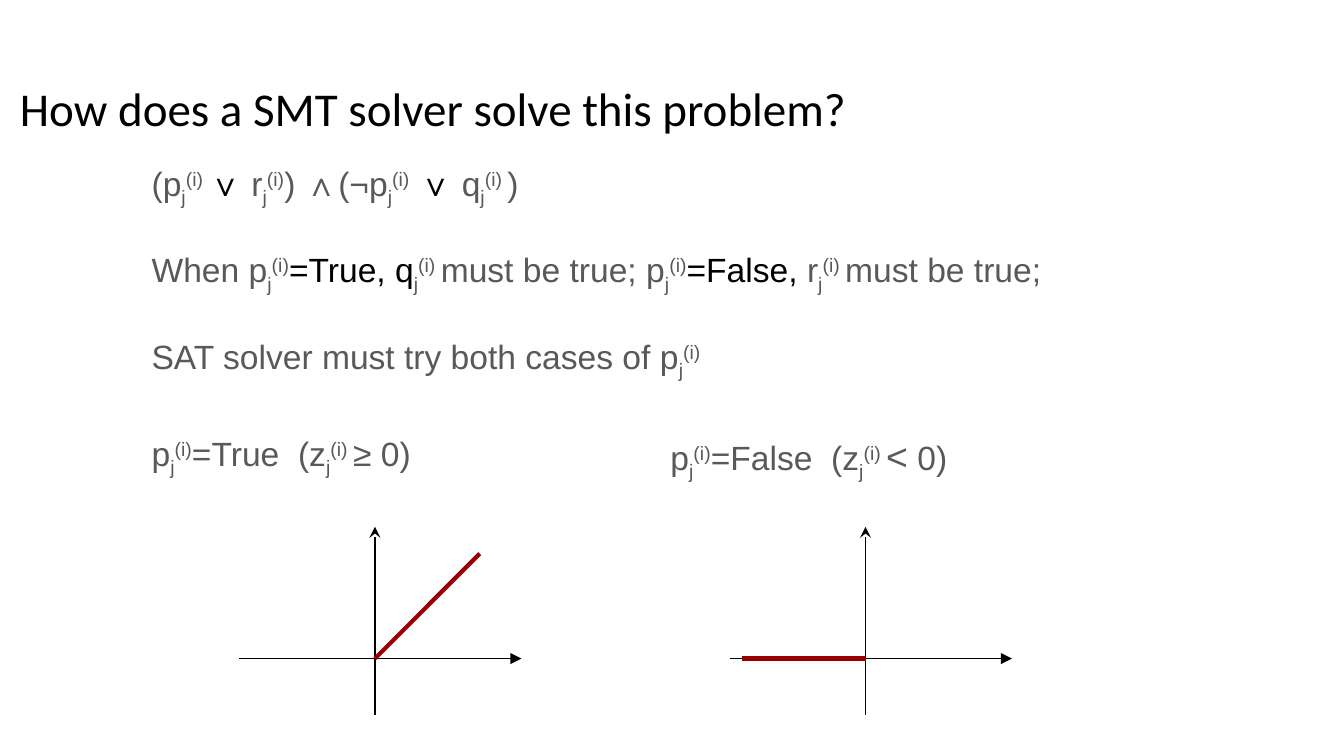
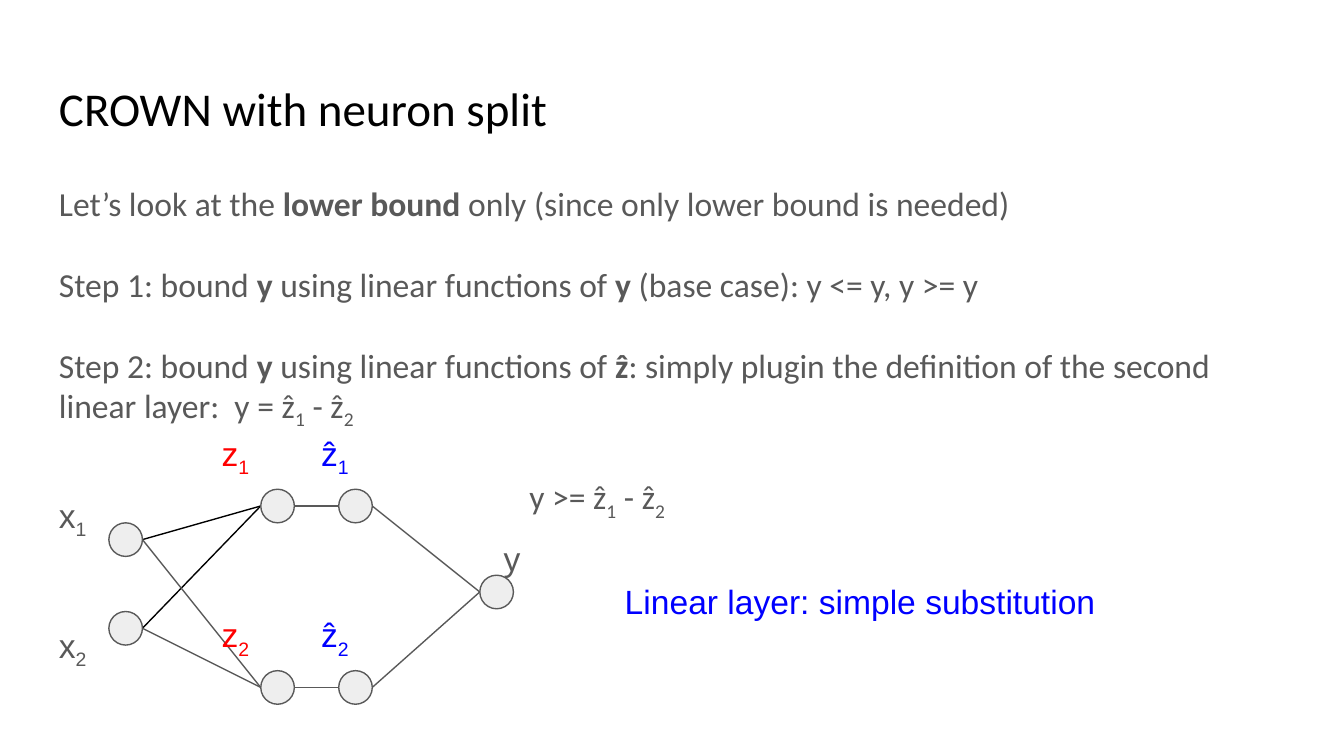
"""Build two slides on neuron splitting in solver-based and bound-based verification."""
import pptx
import pptx.dml.color
import pptx.enum.shapes
import pptx.util
from lxml import etree
from pptx.oxml.ns import qn

Inches, Pt = pptx.util.Inches, pptx.util.Pt
RGBColor = pptx.dml.color.RGBColor

BLACK = RGBColor(0x00, 0x00, 0x00)
GRAY = RGBColor(0x59, 0x59, 0x59)
NODE_FILL = RGBColor(0xEE, 0xEE, 0xEE)
DARK_RED = RGBColor(0x98, 0x00, 0x00)
RED = RGBColor(0xFF, 0x00, 0x00)
BLUE = RGBColor(0x00, 0x00, 0xFF)

SUB = {"baseline": -25000}
SUP = {"baseline": 30000}
BOLD = {"bold": True}
DARK = {"color": BLACK}


def neuron(prefix, gap=""):
    """Return the runs of a variable indexed by neuron j and layer i."""
    return [prefix, ("j", SUB), ("(i)" + gap, SUP)]


def difference(prefix):
    """Return the runs of the output layer's definition."""
    return [prefix + "ẑ", ("1", SUB), " - ẑ", ("2", SUB)]


SOLVER_TITLE = "How does a SMT solver solve this problem?"
SOLVER_TEXT = [
    [*neuron("(p", " "), ("∨ ", DARK), *neuron("r"), *neuron(") ∧(¬p"), (" ∨ ", DARK),
     *neuron("q", " "), ")"],
    [*neuron("When p"), ("=True, q", DARK), *neuron("", " ")[1:], *neuron("must be true; p"),
     ("=False, ", DARK), *neuron("r", " "), "must be true;"],
    neuron("SAT solver must try both cases of p"),
]
CASES = [
    (1.03, 0.5, [*neuron("p"), *neuron("=True  (z", " "), "≥ 0)"]),
    (4.89, 0.54, [*neuron("p"), *neuron("=False  (z", " "), ("<", {"size": 20}), " 0)"]),
]
ORIGIN_Y = 4.9
PLOTS = [
    (2.79, (0, 0), (0.78, -0.78)),
    (6.44, (-0.92, 0), (0, 0)),
]

CROWN_TITLE = "CROWN with neuron split"
CROWN_TEXT = [
    ["Let’s look at the ", ("lower bound", BOLD), " only (since only lower bound is needed)"],
    ["Step 1: bound ", ("y", BOLD), " using linear functions of ", ("y", BOLD),
     " (base case): y <= y, y >= y"],
    ["Step 2: bound ", ("y", BOLD), " using linear functions of ", ("ẑ", BOLD),
     *difference(": simply plugin the definition of the second linear layer:  y = ")],
    difference("y >= "),
]
NODE_SIZE = 0.25
NODES = {
    "x1": (0.81, 3.89), "x2": (0.81, 4.55),
    "z1": (1.94, 3.64), "z2": (1.94, 4.99),
    "ẑ1": (2.52, 3.64), "ẑ2": (2.52, 4.99),
    "y": (3.57, 4.28),
}
EDGES = [
    ("x1", "z1", BLACK), ("x2", "z1", BLACK), ("x2", "z2", GRAY), ("x1", "z2", GRAY),
    ("z1", "ẑ1", GRAY), ("z2", "ẑ2", GRAY), ("ẑ1", "y", GRAY), ("ẑ2", "y", GRAY),
]
LABELS = [
    ("x", 0.34, 0.47, 0.38, (3.58, 4.55), GRAY),
    ("z", 1.55, 0.45, 0.58, (3.12, 4.47), RED),
    ("ẑ", 2.29, 0.71, 0.58, (3.12, 4.47), BLUE),
]


def add_text(slide, place, paragraphs, font="Arial", size=18, color=GRAY, gap=0):
    """Add a wrapped text box made of lists of runs and return its paragraphs."""
    frame = slide.shapes.add_textbox(*map(Inches, place)).text_frame
    frame.word_wrap = True
    frame.margin_left = frame.margin_right = Inches(0.1)
    frame.margin_top = frame.margin_bottom = Inches(0.1)
    for number, spans in enumerate(paragraphs):
        para = frame.add_paragraph() if number else frame.paragraphs[0]
        if number:
            para.space_before = Pt(gap)
        for span in spans:
            text, style = (span, {}) if isinstance(span, str) else span
            run = para.add_run()
            run.text = text
            run.font.name = font
            run.font.size = Pt(style.get("size", size))
            run.font.bold = style.get("bold", False)
            run.font.color.rgb = style.get("color", color)
            if "baseline" in style:
                run.font._element.set("baseline", str(style["baseline"]))
    return frame.paragraphs


def add_title(slide, left, width, text):
    """Add the slide title."""
    add_text(slide, (left, 0.49, width, 0.63), [[text]], "Calibri", 25.2, BLACK)


def add_line(slide, start, end, color=BLACK, width=0.75, **arrows):
    """Add a straight line, with arrowheads given as headEnd or tailEnd."""
    line = slide.shapes.add_connector(
        pptx.enum.shapes.MSO_CONNECTOR.STRAIGHT, *map(Inches, (*start, *end)))
    line.line.color.rgb = color
    line.line.width = Pt(width)
    for tag, kind in arrows.items():
        etree.SubElement(line.line._get_or_add_ln(), qn("a:" + tag)).set("type", kind)
    etree.SubElement(line._element.spPr, qn("a:effectLst"))


def add_node(slide, left, top):
    """Add one network node."""
    node = slide.shapes.add_shape(
        pptx.enum.shapes.MSO_SHAPE.OVAL, *map(Inches, (left, top, NODE_SIZE, NODE_SIZE)))
    node.shadow.inherit = False
    node.fill.solid()
    node.fill.fore_color.rgb = NODE_FILL
    node.line.color.rgb = GRAY
    node.line.width = Pt(0.75)


def build_solver(slide):
    """Show the two cases of a split neuron."""
    add_title(slide, 0.05, 9.88, SOLVER_TITLE)
    add_text(slide, (1.03, 1.11, 7.14, 1.72), SOLVER_TEXT, gap=21.8)
    for left, height, spans in CASES:
        add_text(slide, (left, 3.12, 3.28, height), [spans])
    for x, start, end in PLOTS:
        add_line(slide, (x - 1.01, ORIGIN_Y), (x + 1.09, ORIGIN_Y), tailEnd="triangle")
        add_line(slide, (x, ORIGIN_Y - 0.98), (x, ORIGIN_Y + 0.42), headEnd="stealth")
        ends = [(x + dx, ORIGIN_Y + dy) for dx, dy in (start, end)]
        add_line(slide, *ends, DARK_RED, 2.25)


def build_crown(slide):
    """Show the bound steps beside the small network."""
    add_title(slide, 0.34, 9.32, CROWN_TITLE)
    bound = add_text(slide, (0.34, 1.26, 9.32, 3.98), CROWN_TEXT, "Calibri", gap=21.7)[-1]
    bound.space_before = Pt(24.5)
    bound._p.get_or_add_pPr().set("marL", str(Inches(3.5)))
    for source, target, color in EDGES:
        (x1, y1), (x2, y2) = NODES[source], NODES[target]
        middle = NODE_SIZE / 2
        add_line(slide, (x1 + NODE_SIZE, y1 + middle), (x2, y2 + middle), color)
    for place in NODES.values():
        add_node(slide, *place)
    for letter, left, width, height, tops, color in LABELS:
        for index, top in enumerate(tops, 1):
            spans = [letter, (str(index), SUB)]
            add_text(slide, (left, top, width, height), [spans], color=color)
    add_text(slide, (3.65, 3.9, 0.54, 0.51), [["y"]])
    add_text(slide, (4.55, 4.22, 4.42, 0.56), [["Linear layer: simple substitution"]], color=BLUE)


def main():
    """Build and save the deck."""
    deck = pptx.Presentation()
    deck.slide_width = Inches(10)
    deck.slide_height = deck.slide_width * 9 // 16
    for build in (build_solver, build_crown):
        build(deck.slides.add_slide(deck.slide_layouts[6]))
    deck.save("out.pptx")


if __name__ == "__main__":
    main()
